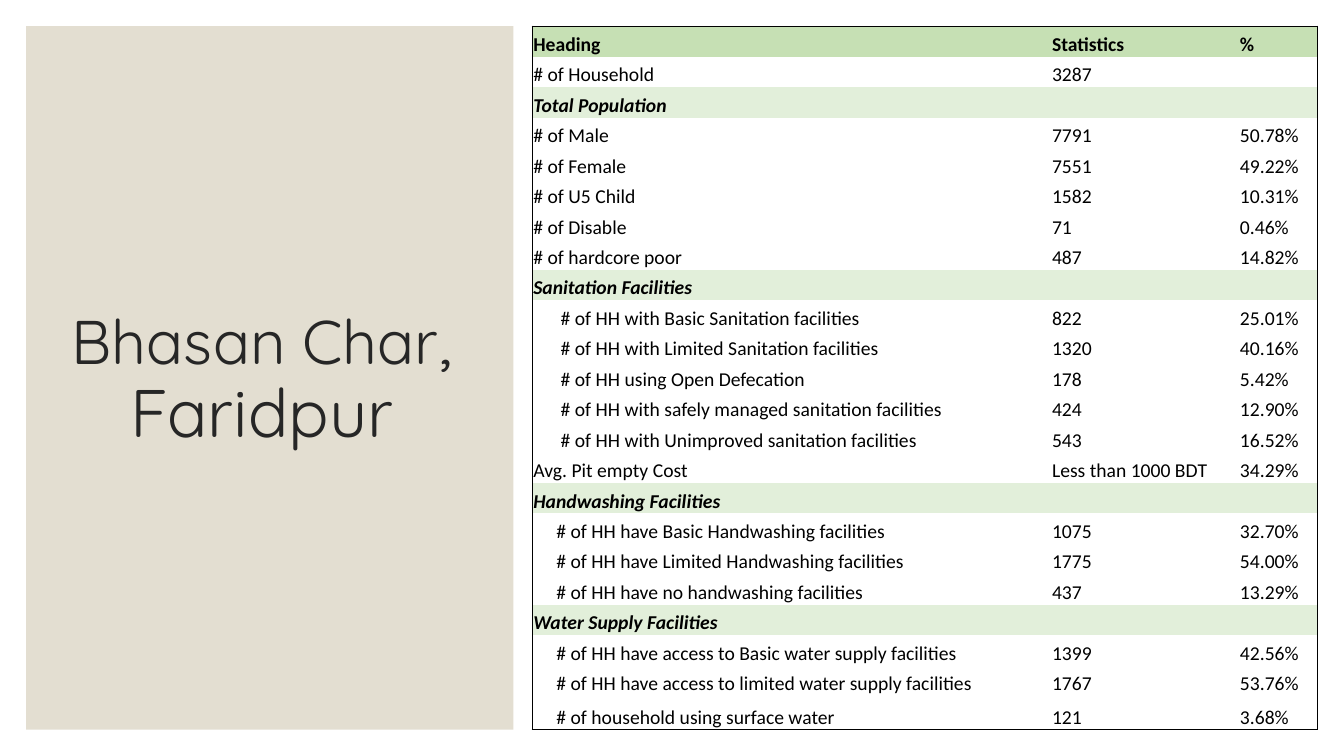
import pptx
import pptx.dml.color
import pptx.enum.shapes
import pptx.enum.text
import pptx.oxml.ns
import pptx.util
from lxml import etree

PX = 9525
WHITE = pptx.dml.color.RGBColor(0xFF, 0xFF, 0xFF)
BLACK = pptx.dml.color.RGBColor(0x00, 0x00, 0x00)
CHARCOAL = pptx.dml.color.RGBColor(0x26, 0x26, 0x26)
SAND = pptx.dml.color.RGBColor(0xE3, 0xDE, 0xD1)
HEADING_GREEN = pptx.dml.color.RGBColor(0xC6, 0xE0, 0xB4)
SECTION_GREEN = pptx.dml.color.RGBColor(0xE2, 0xEF, 0xDA)

PLAIN_TABLE_STYLE = "{2D5ABB26-0587-4C30-8999-92F81FD0307C}"
COLUMN_WIDTHS = (494, 179, 75)
ROW_HEIGHT = 29
SANITATION_INDENT = 26
INDENT = 22
ROWS = [
    (0, "Heading", "Statistics", "%"),
    (0, "# of Household", "3287", ""),
    (0, "Total Population"),
    (0, "# of Male", "7791", "50.78%"),
    (0, "# of Female", "7551", "49.22%"),
    (0, "# of U5 Child", "1582", "10.31%"),
    (0, "# of Disable", "71", "0.46%"),
    (0, "# of hardcore poor", "487", "14.82%"),
    (0, "Sanitation Facilities"),
    (SANITATION_INDENT, "# of HH with Basic Sanitation facilities", "822", "25.01%"),
    (SANITATION_INDENT, "# of HH with Limited Sanitation facilities", "1320", "40.16%"),
    (SANITATION_INDENT, "# of HH using Open Defecation", "178", "5.42%"),
    (SANITATION_INDENT, "# of HH with safely managed sanitation facilities", "424", "12.90%"),
    (SANITATION_INDENT, "# of HH with Unimproved sanitation facilities", "543", "16.52%"),
    (0, "Avg. Pit empty Cost", "Less than 1000 BDT", "34.29%"),
    (0, "Handwashing Facilities"),
    (INDENT, "# of HH have Basic Handwashing facilities", "1075", "32.70%"),
    (INDENT, "# of HH have Limited Handwashing facilities", "1775", "54.00%"),
    (INDENT, "# of HH have no handwashing facilities", "437", "13.29%"),
    (0, "Water Supply Facilities"),
    (INDENT, "# of HH have access to Basic water supply facilities", "1399", "42.56%"),
    (INDENT, "# of HH have access to limited water supply facilities", "1767", "53.76%"),
    (INDENT, "# of household using surface water", "121", "3.68%"),
]


def add_panel(slide, left, top, width, height, color):
    """Add a plain filled rectangle."""
    panel = slide.shapes.add_shape(
        pptx.enum.shapes.MSO_SHAPE.RECTANGLE,
        left * PX, top * PX, width * PX, height * PX)
    panel.shadow.inherit = False
    panel.fill.solid()
    panel.fill.fore_color.rgb = color
    panel.line.fill.background()


def add_title_panel(slide, left, top, width, height):
    """Add the sand panel with the place name centred in it."""
    add_panel(slide, left, top, width, height, SAND)
    box = slide.shapes.add_textbox(
        (left + 18) * PX, (top + 34) * PX, (width - 51) * PX, (height - 66) * PX)
    frame = box.text_frame
    frame.word_wrap = True
    frame.vertical_anchor = pptx.enum.text.MSO_ANCHOR.MIDDLE
    paragraph = frame.paragraphs[0]
    paragraph.alignment = pptx.enum.text.PP_ALIGN.CENTER
    paragraph.line_spacing = 0.9
    for text, size in (("Bhasan Char", 44), (", Faridpur", 48)):
        run = paragraph.add_run()
        run.text = text
        run.font.name = "Quicksand"
        run.font.size = pptx.util.Pt(size)
        run.font.color.rgb = CHARCOAL


def add_borders(cell, sides):
    """Draw thin black lines on the given sides, in L, R, T, B order."""
    properties = cell._tc.get_or_add_tcPr()
    for side in sides:
        line = etree.SubElement(
            properties, pptx.oxml.ns.qn("a:ln" + side), w=str(pptx.util.Pt(1)))
        fill = etree.SubElement(line, pptx.oxml.ns.qn("a:solidFill"))
        etree.SubElement(fill, pptx.oxml.ns.qn("a:srgbClr"), val=str(BLACK))


def style_cell(cell, text, indent, bold, italic, color):
    """Write one cell with its font, margins and fill."""
    cell.margin_left = (1 + indent) * PX
    cell.margin_right = cell.margin_top = PX
    cell.margin_bottom = 0
    cell.vertical_anchor = pptx.enum.text.MSO_ANCHOR.BOTTOM
    cell.text = text
    font = cell.text_frame.paragraphs[0].font
    font.name = "Calibri"
    font.size = pptx.util.Pt(14)
    font.bold = bold
    font.italic = italic
    font.color.rgb = BLACK
    if color is None:
        cell.fill.background()
    else:
        cell.fill.solid()
        cell.fill.fore_color.rgb = color


def add_statistics_table(slide, left, top, width, height):
    """Add the household statistics table with an outer frame."""
    last_row, last_column = len(ROWS) - 1, len(COLUMN_WIDTHS) - 1
    table = slide.shapes.add_table(
        len(ROWS), len(COLUMN_WIDTHS),
        left * PX, top * PX, width * PX, height * PX).table
    table.horz_banding = False
    style = table._tbl.tblPr.find(pptx.oxml.ns.qn("a:tableStyleId"))
    style.text = PLAIN_TABLE_STYLE
    for column, column_width in zip(table.columns, COLUMN_WIDTHS):
        column.width = column_width * PX
    for row in table.rows:
        row.height = ROW_HEIGHT * PX
    table.rows[last_row].height = (height - ROW_HEIGHT * last_row) * PX

    for row_index, (indent, *texts) in enumerate(ROWS):
        heading = row_index == 0
        section = len(texts) == 1
        color = HEADING_GREEN if heading else SECTION_GREEN if section else None
        if section:
            table.cell(row_index, 0).merge(table.cell(row_index, last_column))
            texts += [""] * last_column
        for column_index, text in enumerate(texts):
            cell = table.cell(row_index, column_index)
            edges = {
                "L": column_index == 0,
                "R": column_index == last_column or cell.is_merge_origin,
                "T": heading,
                "B": row_index == last_row,
            }
            add_borders(cell, [side for side, shown in edges.items() if shown])
            style_cell(cell, text, 0 if column_index else indent,
                       heading or section, section, color)


def main():
    """Build and save the presentation."""
    presentation = pptx.Presentation()
    presentation.slide_width = 1280 * PX
    presentation.slide_height = 720 * PX
    slide = presentation.slides.add_slide(presentation.slide_layouts[6])
    add_panel(slide, 0, 0, 1280, 720, WHITE)
    add_title_panel(slide, 25, 25, 464, 670)
    add_statistics_table(slide, 507, 25, sum(COLUMN_WIDTHS), 670)
    presentation.save("out.pptx")


if __name__ == "__main__":
    main()
